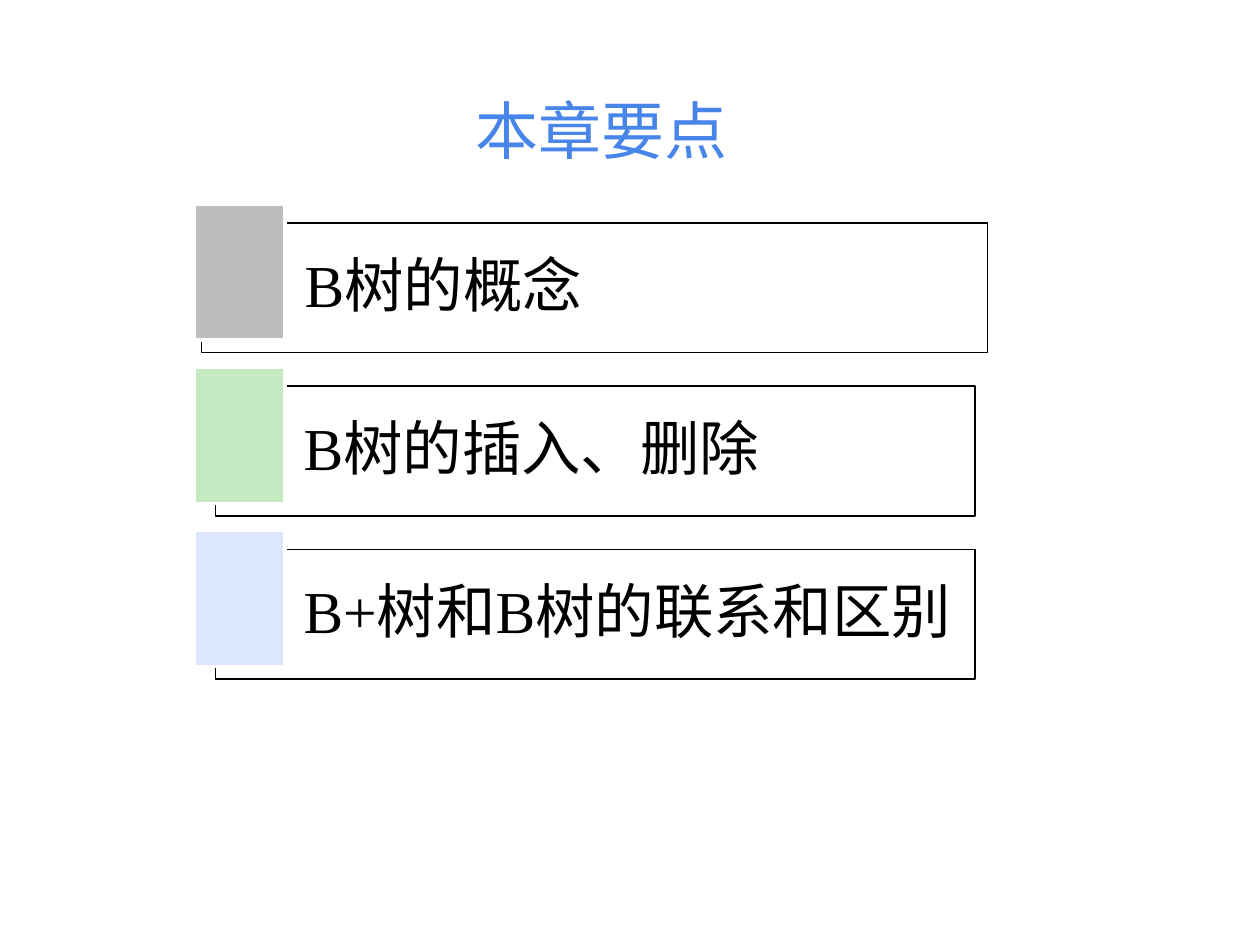
from pptx import Presentation
from pptx.dml.color import RGBColor
from pptx.enum.shapes import MSO_SHAPE
from pptx.enum.text import MSO_ANCHOR, MSO_AUTO_SIZE, PP_ALIGN
from pptx.oxml.ns import qn
from pptx.util import Inches, Pt
from lxml.etree import SubElement

BLACK = RGBColor(0x00, 0x00, 0x00)
WHITE = RGBColor(0xFF, 0xFF, 0xFF)
BLUE = RGBColor(0x48, 0x85, 0xE9)
GRAY = RGBColor(0xBD, 0xBD, 0xBD)
GREEN = RGBColor(0xC5, 0xEA, 0xC1)
PALE_BLUE = RGBColor(0xDD, 0xE6, 0xFF)


def write_text(frame, text, *, size, color, align, anchor):
    frame.word_wrap = True
    frame.auto_size = MSO_AUTO_SIZE.NONE
    frame.vertical_anchor = anchor
    para = frame.paragraphs[0]
    para.alignment = align
    span = para.add_run()
    span.text = text
    span.font.name = "Times New Roman"
    span.font.size = Pt(size)
    span.font.color.rgb = color
    return para


def add_rectangle(page, left, top, width, height, *, fill, line, weight):
    box = page.shapes.add_shape(MSO_SHAPE.RECTANGLE, Inches(left), Inches(top),
                                Inches(width), Inches(height))
    box.shadow.inherit = False
    box.fill.solid()
    box.fill.fore_color.rgb = fill
    box.line.color.rgb = line
    box.line.width = Pt(weight)
    return box


deck = Presentation()
deck.slide_width, deck.slide_height = Inches(10), Inches(7.5)
page = deck.slides.add_slide(deck.slide_layouts[5])

title = page.shapes.title
title.left, title.top = Inches(0.12), Inches(0.68)
title.width, title.height = Inches(9.31), Inches(0.82)
write_text(title.text_frame, "本章要点", size=36, color=BLUE,
           align=PP_ALIGN.CENTER, anchor=MSO_ANCHOR.TOP)

# text, marker colour, left and width of the panel
topics = [
    (" B树的概念", GRAY, 1.6, 6.24),
    ("B树的插入、删除", GREEN, 1.71, 6.03),
    ("B+树和B树的联系和区别", PALE_BLUE, 1.71, 6.03),
]
FIRST_TOP, STEP = 1.62, 1.295

for index, (text, marker_color, left, width) in enumerate(topics):
    top = FIRST_TOP + index * STEP
    panel = add_rectangle(page, left, top + 0.15, width, 1.03,
                          fill=WHITE, line=BLACK, weight=0.75)
    fill_color = panel.fill._xPr.find(qn("a:solidFill"))[0]
    SubElement(fill_color, qn("a:alpha"), val="40000")

    frame = panel.text_frame
    frame.margin_left = Inches(0.7)
    frame.margin_top = frame.margin_right = frame.margin_bottom = Inches(0.14)
    para = write_text(frame, text, size=34, color=BLACK,
                      align=PP_ALIGN.LEFT, anchor=MSO_ANCHOR.MIDDLE)
    para.line_spacing = 0.9

    add_rectangle(page, 1.54, top, 0.72, 1.08,
                  fill=marker_color, line=WHITE, weight=2)

deck.save("out.pptx")
